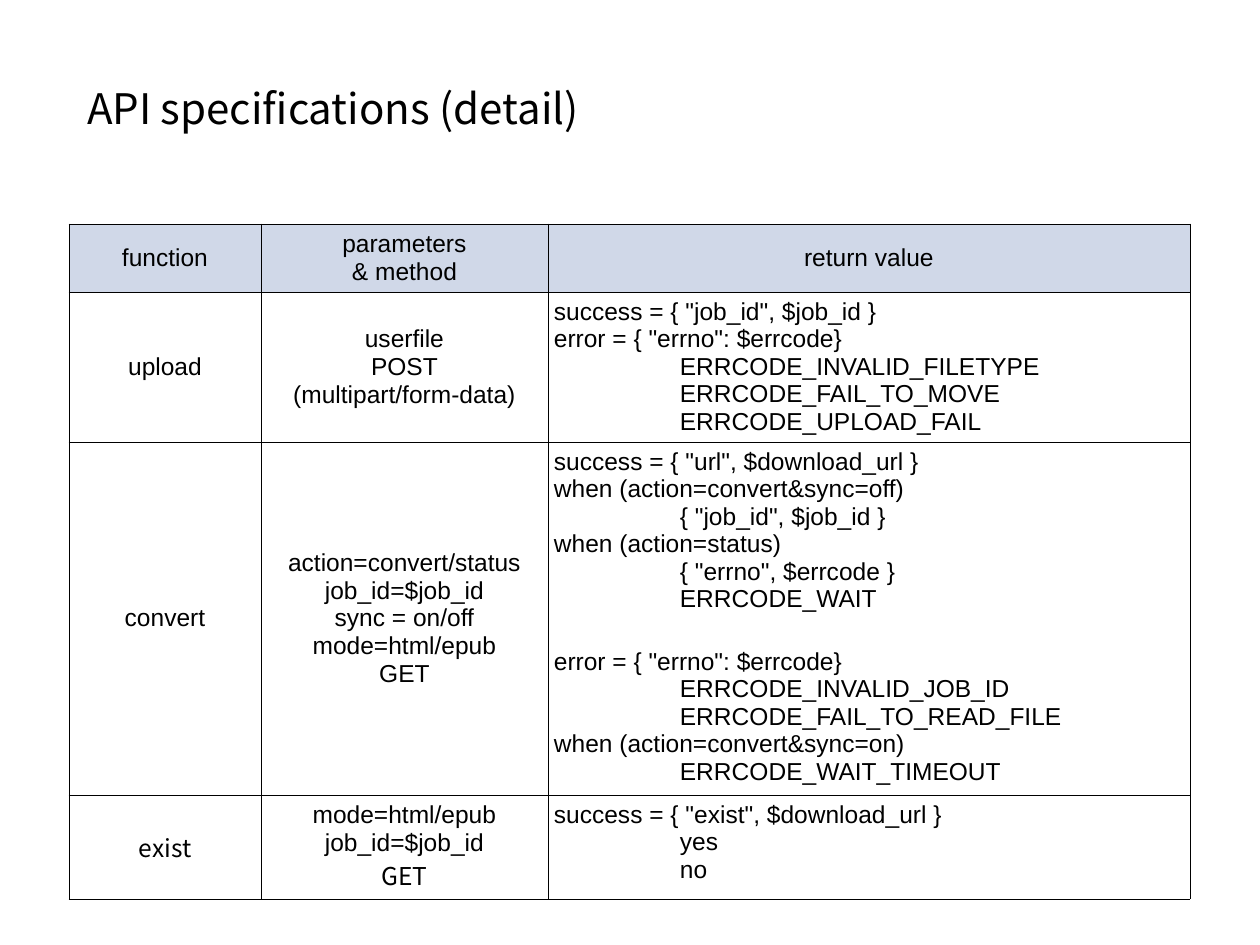
from dataclasses import dataclass

from lxml.etree import SubElement
from pptx import Presentation
from pptx.dml.color import RGBColor
from pptx.enum.text import MSO_ANCHOR, MSO_AUTO_SIZE, PP_ALIGN
from pptx.oxml.ns import qn
from pptx.util import Emu, Pt


@dataclass(frozen=True)
class Theme:
    """Colours, fonts and sizes of the slide."""

    ink: str = "000000"
    header_fill: str = "D0D8E8"
    body_font: str = "Arial"
    title_font: str = "Noto Sans CJK KR"
    title_size: int = 24
    body_size: int = 14
    border_width: float = 0.45


@dataclass(frozen=True)
class Line:
    """One line of a table cell."""

    text: str
    indent: int = 0
    gap: int = 0
    font: str = Theme.body_font


THEME = Theme()
PIXELS_PER_INCH = 126
SLIDE_SIZE = (1260, 945)
TITLE_BOX = (74, 76, 586, 63)
TABLE_BOX = (69, 224, 1121, 675)
COLUMN_WIDTHS = (192, 287, 642)
ROW_HEIGHTS = (68, 150, 353, 104)
CELL_MARGIN = 6
TITLE_MARGIN = 13
INDENT = 126
SECTION_GAP = 35


def px(length):
    """Turn pixels into EMU."""
    return Emu(round(length * 914400 / PIXELS_PER_INCH))


def lines(*texts):
    """Make plain lines."""
    return [Line(text) for text in texts]


def indented(*texts):
    """Make indented lines."""
    return [Line(text, indent=INDENT) for text in texts]


ROWS = [
    [lines("function"), lines("parameters", "& method"), lines("return value")],
    [
        lines("upload"),
        lines("userfile", "POST", "(multipart/form-data)"),
        lines('success = { "job_id", $job_id }', 'error = { "errno": $errcode}')
        + indented(
            "ERRCODE_INVALID_FILETYPE", "ERRCODE_FAIL_TO_MOVE", "ERRCODE_UPLOAD_FAIL"
        ),
    ],
    [
        lines("convert"),
        lines(
            "action=convert/status", "job_id=$job_id", "sync = on/off",
            "mode=html/epub", "GET",
        ),
        lines('success = { "url", $download_url }', "when (action=convert&sync=off)")
        + indented('{ "job_id", $job_id }')
        + lines("when (action=status)")
        + indented('{ "errno", $errcode }', "ERRCODE_WAIT")
        + [Line('error = { "errno": $errcode}', gap=SECTION_GAP)]
        + indented("ERRCODE_INVALID_JOB_ID", "ERRCODE_FAIL_TO_READ_FILE")
        + lines("when (action=convert&sync=on)")
        + indented("ERRCODE_WAIT_TIMEOUT"),
    ],
    [
        [Line("exist", font=THEME.title_font)],
        lines("mode=html/epub", "job_id=$job_id")
        + [Line("GET", font=THEME.title_font)],
        lines('success = { "exist", $download_url }') + indented("yes", "no"),
    ],
]


def set_font(paragraph, name, size):
    """Format the font of a paragraph."""
    paragraph.font.name = name
    paragraph.font.size = Pt(size)
    paragraph.font.color.rgb = RGBColor.from_string(THEME.ink)


def set_borders(cell):
    """Draw a thin line on all four sides of a cell."""
    properties = cell._tc.get_or_add_tcPr()
    for side in ("a:lnL", "a:lnR", "a:lnT", "a:lnB"):
        border = SubElement(properties, qn(side), w=str(Pt(THEME.border_width)))
        fill = SubElement(border, qn("a:solidFill"))
        SubElement(fill, qn("a:srgbClr"), val=THEME.ink)


def fill_cell(cell, cell_lines, is_header, is_centred):
    """Write the lines of a cell and format it."""
    set_borders(cell)
    if is_header:
        cell.fill.solid()
        cell.fill.fore_color.rgb = RGBColor.from_string(THEME.header_fill)
    else:
        cell.fill.background()
    cell.margin_left = cell.margin_right = px(CELL_MARGIN)
    cell.margin_top = cell.margin_bottom = px(CELL_MARGIN)
    cell.vertical_anchor = MSO_ANCHOR.MIDDLE if is_centred else MSO_ANCHOR.TOP
    cell.text_frame.text = "\n".join(line.text for line in cell_lines)
    for paragraph, line in zip(cell.text_frame.paragraphs, cell_lines):
        paragraph.alignment = PP_ALIGN.CENTER if is_centred else PP_ALIGN.LEFT
        set_font(paragraph, line.font, THEME.body_size)
        if line.gap:
            paragraph.space_before = Pt(round(px(line.gap).pt))
        if line.indent:
            paragraph._p.get_or_add_pPr().set("marL", str(px(line.indent)))


def add_title(slide, box, text):
    """Place the title in its box."""
    title = slide.shapes.title
    title.left, title.top, title.width, title.height = map(px, box)
    frame = title.text_frame
    frame.text = text
    frame.auto_size = MSO_AUTO_SIZE.NONE
    frame.word_wrap = False
    frame.vertical_anchor = MSO_ANCHOR.MIDDLE
    frame.margin_left = frame.margin_right = px(TITLE_MARGIN)
    frame.margin_top = frame.margin_bottom = 0
    paragraph = frame.paragraphs[0]
    paragraph.alignment = PP_ALIGN.LEFT
    set_font(paragraph, THEME.title_font, THEME.title_size)


def add_specification_table(slide, box, rows):
    """Place the table of functions in its box."""
    table = slide.shapes.add_table(len(rows), len(COLUMN_WIDTHS), *map(px, box)).table
    table.first_row = table.horz_banding = False
    for column, width in zip(table.columns, COLUMN_WIDTHS):
        column.width = px(width)
    for row, height in zip(table.rows, ROW_HEIGHTS):
        row.height = px(height)
    for row_index, row in enumerate(rows):
        for column_index, cell_lines in enumerate(row):
            is_header = row_index == 0
            is_centred = is_header or column_index < 2
            cell = table.cell(row_index, column_index)
            fill_cell(cell, cell_lines, is_header, is_centred)


def main():
    """Build and save the slide."""
    presentation = Presentation()
    presentation.slide_width, presentation.slide_height = map(px, SLIDE_SIZE)
    slide = presentation.slides.add_slide(presentation.slide_layouts[5])
    add_title(slide, TITLE_BOX, "API specifications (detail)")
    add_specification_table(slide, TABLE_BOX, ROWS)
    presentation.save("out.pptx")


if __name__ == "__main__":
    main()
